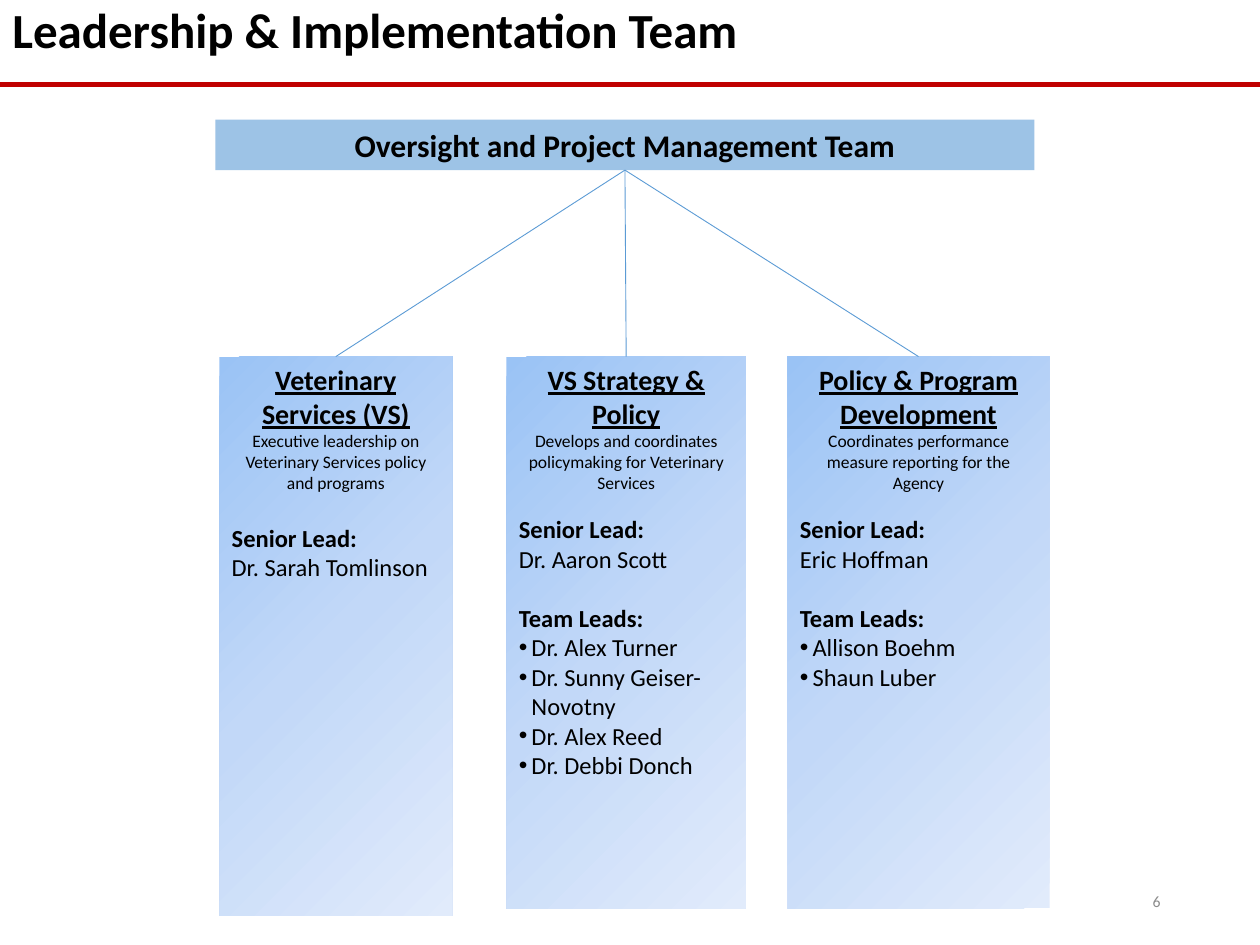
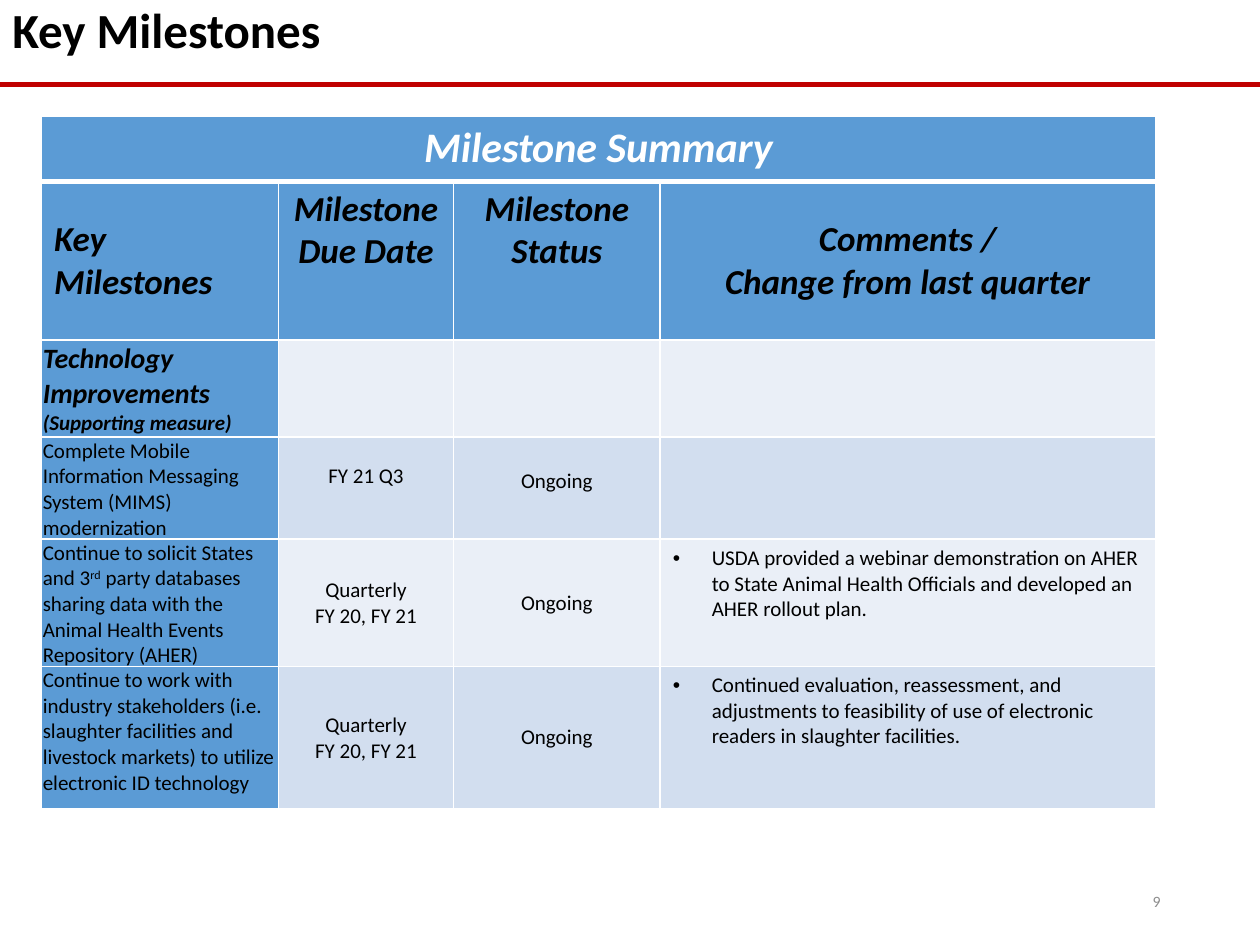
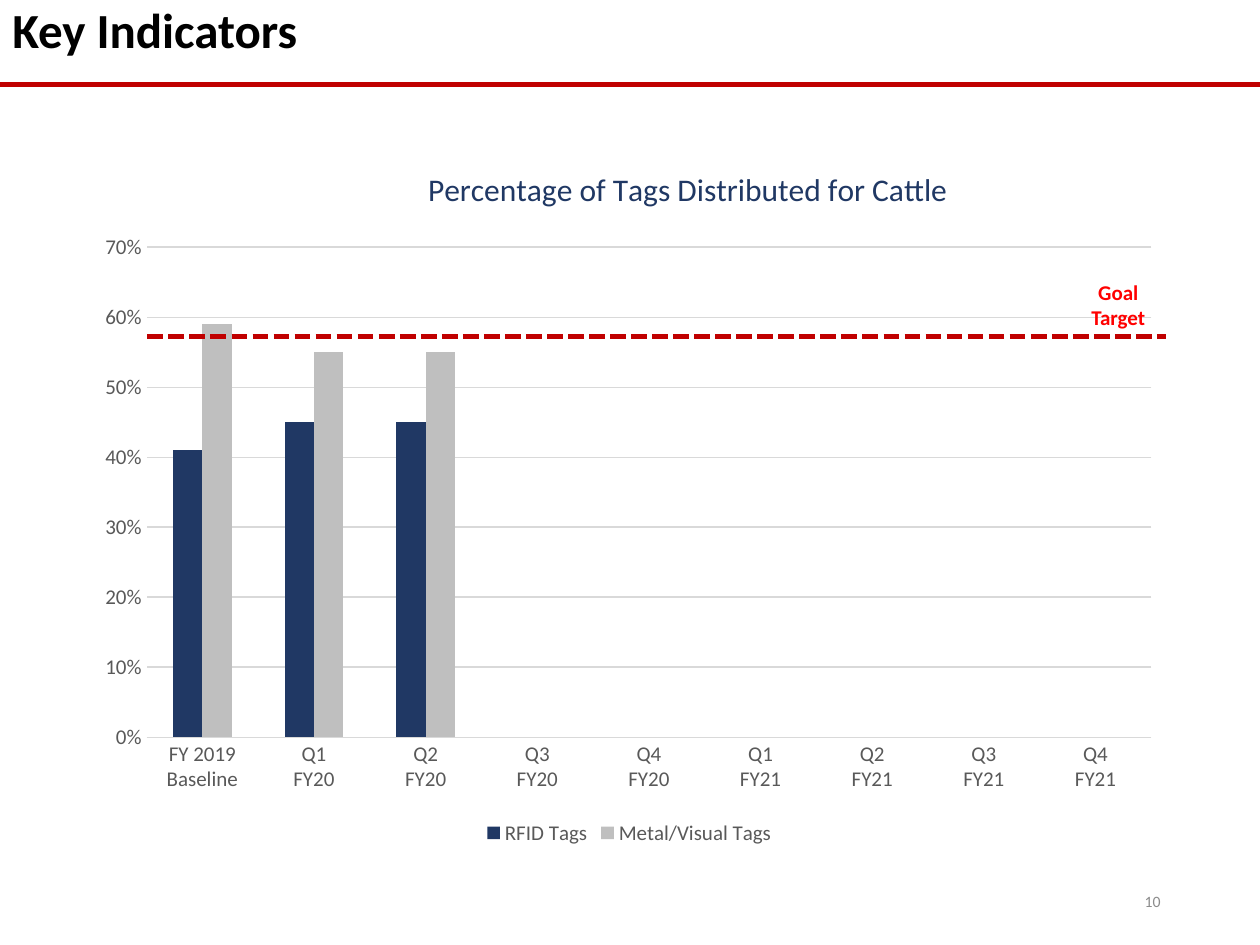
from dataclasses import dataclass
from itertools import product

from lxml.etree import SubElement
from pptx import Presentation
from pptx.chart.data import CategoryChartData
from pptx.dml.color import RGBColor
from pptx.enum.chart import XL_CHART_TYPE, XL_LEGEND_POSITION, XL_TICK_MARK
from pptx.enum.dml import MSO_LINE
from pptx.enum.shapes import MSO_CONNECTOR, MSO_SHAPE
from pptx.enum.text import MSO_ANCHOR, PP_ALIGN
from pptx.oxml import parse_xml
from pptx.oxml.ns import nsdecls, qn
from pptx.util import Inches, Pt

FACE = "Calibri"
BLACK = RGBColor(0x00, 0x00, 0x00)
WHITE = RGBColor(0xFF, 0xFF, 0xFF)
RED = RGBColor(0xC0, 0x00, 0x00)
BRIGHT = RGBColor(0xFF, 0x00, 0x00)
GREY = RGBColor(0x8C, 0x8C, 0x8C)
DARK = RGBColor(0x59, 0x59, 0x59)
RULE = RGBColor(0xD9, 0xD9, 0xD9)
SKY = RGBColor(0x9D, 0xC3, 0xE6)
BLUE = RGBColor(0x5B, 0x9B, 0xD5)
NAVY = RGBColor(0x20, 0x38, 0x64)
SILVER = RGBColor(0xBF, 0xBF, 0xBF)
PALE = RGBColor(0xEA, 0xEF, 0xF7)
MIST = RGBColor(0xD2, 0xDE, 0xEF)
FADE = ((0, "9AC3F5"), (50, "C2D8F8"), (100, "E1EBFB"))
LINEAR = '<a:lin ang="2700000" scaled="1"/>'
ROUND = '<a:path path="circle"><a:fillToRect r="100000" b="100000"/></a:path>'
LEFT, MID, RIGHT = PP_ALIGN.LEFT, PP_ALIGN.CENTER, PP_ALIGN.RIGHT
TOP, MIDDLE = MSO_ANCHOR.TOP, MSO_ANCHOR.MIDDLE


@dataclass
class Para:
    """One paragraph; parts of the text between ^ marks are raised."""
    text: str
    size: float = 12
    bold: bool = False
    italic: bool = False
    under: bool = False
    color: RGBColor = BLACK
    align: PP_ALIGN = LEFT
    before: float = 0
    bullet: float = 0
    spacing: float = 1


@dataclass
class Team:
    """One team box of the chart of leaders."""
    left: float
    width: float
    height: float
    name: str
    task: str
    gap: float
    lead: str
    staff: tuple = ()
    shade: str = LINEAR


@dataclass
class Cell:
    """Text and layout of one table cell."""
    paras: tuple = ()
    anchor: MSO_ANCHOR = TOP
    edges: tuple = (0.1, 0.05, 0.1, 0.05)


def style(font, color: RGBColor, **vals) -> None:
    """Set font values and colour."""
    for key, val in {"name": FACE, **vals}.items():
        setattr(font, key, val)
    font.color.rgb = color


def write(frame, paras) -> None:
    """Fill a text frame with paragraphs."""
    for num, item in enumerate(paras):
        para = frame.add_paragraph() if num else frame.paragraphs[0]
        form = {"alignment": item.align, "space_before": Pt(item.before),
                "line_spacing": item.spacing}
        for key, val in form.items():
            setattr(para, key, val)
        if item.bullet:
            props = para._p.get_or_add_pPr()
            props.set("marL", str(Inches(item.bullet)))
            props.set("indent", str(-Inches(item.bullet)))
            SubElement(props, qn("a:buFont")).set("typeface", "Arial")
            SubElement(props, qn("a:buChar")).set("char", "•")
        for spot, part in enumerate(item.text.split("^")):
            run = para.add_run()
            run.text = part
            style(run.font, item.color, size=Pt(item.size), bold=item.bold,
                  italic=item.italic, underline=item.under)
            if spot % 2:
                run._r.get_or_add_rPr().set("baseline", "30000")


def place(box) -> tuple:
    """Turn inches into lengths."""
    return tuple(Inches(val) for val in box)


def label(slide, box, para: Para, anchor=TOP) -> None:
    """Add a wrapped text box."""
    frame = slide.shapes.add_textbox(*place(box)).text_frame
    frame.word_wrap = True
    frame.vertical_anchor = anchor
    write(frame, [para])


def block(slide, box, paras):
    """Add a plain box with text from its top and return it."""
    shape = slide.shapes.add_shape(MSO_SHAPE.RECTANGLE, *place(box))
    shape.shadow.inherit = False
    shape.line.fill.background()
    shape.fill.solid()
    shape.fill.fore_color.rgb = SKY
    shape.text_frame.word_wrap = True
    shape.text_frame.vertical_anchor = TOP
    write(shape.text_frame, paras)
    return shape


def shade(shape, kind: str) -> None:
    """Swap the plain fill for the blue fade."""
    stops = "".join(f'<a:gs pos="{pos * 1000}"><a:srgbClr val="{tint}"/></a:gs>'
                    for pos, tint in FADE)
    fade = parse_xml(f'<a:gradFill {nsdecls("a")} rotWithShape="1">'
                     f"<a:gsLst>{stops}</a:gsLst>{kind}</a:gradFill>")
    props = shape._element.spPr
    props.replace(props.find(qn("a:solidFill")), fade)


def stroke(slide, ends, color: RGBColor, width: float, dash=None) -> None:
    """Draw a straight line."""
    link = slide.shapes.add_connector(MSO_CONNECTOR.STRAIGHT, *place(ends))
    link.line.color.rgb = color
    link.line.width = Pt(width)
    if dash:
        link.line.dash_style = dash
    SubElement(link._element.spPr, qn("a:effectLst"))


def start(deck, title: str, page: int):
    """Add a slide with title, red rule and page number."""
    slide = deck.slides.add_slide(deck.slide_layouts[6])
    label(slide, (0, 0, 10, 0.92),
          Para(title, 28, bold=True, before=7.5, spacing=0.9))
    label(slide, (7.06, 6.95, 2.25, 0.4),
          Para(str(page), 9, color=GREY, align=RIGHT), MIDDLE)
    stroke(slide, (0, 0.67, 10, 0.67), RED, 3)
    return slide


TEAMS = (
    Team(1.74, 1.85, 4.44, "Veterinary Services (VS)",
         "Executive leadership on Veterinary Services policy and programs",
         17, "Dr. Sarah Tomlinson"),
    Team(4.02, 1.9, 4.38, "VS Strategy & Policy",
         "Develops and coordinates policymaking for Veterinary Services",
         12.2, "Dr. Aaron Scott",
         ("Dr. Alex Turner", "Dr. Sunny Geiser-Novotny", "Dr. Alex Reed",
          "Dr. Debbi Donch")),
    Team(6.25, 2.08, 4.38, "Policy & Program Development",
         "Coordinates performance measure reporting for the Agency",
         12.2, "Eric Hoffman", ("Allison Boehm", "Shaun Luber"), ROUND),
)


def leaders(deck) -> None:
    """Build the slide of teams."""
    slide = start(deck, "Leadership & Implementation Team", 6)
    block(slide, (1.71, 0.95, 6.5, 0.4),
          [Para("Oversight and Project Management Team", 18, bold=True, align=MID)])
    top = 2.83
    for team in TEAMS:
        paras = [Para(team.name, 16, bold=True, under=True, align=MID),
                 Para(team.task, 10, align=MID),
                 Para("Senior Lead:", 14, bold=True, before=team.gap),
                 Para(team.lead, 14)]
        if team.staff:
            paras.append(Para("Team Leads:", 14, bold=True, before=17))
            paras += [Para(name, 14, bullet=0.1) for name in team.staff]
        shape = block(slide, (team.left, top, team.width, team.height), paras)
        shade(shape, team.shade)
    for team in TEAMS:
        stroke(slide, (4.96, 1.35, team.left + team.width / 2, top), BLUE, 0.5)


TIGHT = (0.01, 0.01, 0.01, 0)


def head(*lines: str, size=20, color=BLACK, align=MID, **form) -> Cell:
    """Make a heading cell."""
    return Cell(tuple(Para(line, size, True, True, color=color, align=align)
                      for line in lines), **form)


def task(text: str) -> Cell:
    """Make a cell that names a milestone."""
    return Cell((Para(text),), edges=TIGHT)


def fact(*lines: str, anchor=MIDDLE, **form) -> Cell:
    """Make a centred cell."""
    return Cell(tuple(Para(line, align=MID) for line in lines), anchor, **form)


def note(text: str) -> Cell:
    """Make a cell with one bullet."""
    return Cell((Para(text, bullet=0.31),))


TERM = fact("Quarterly", "FY 20, FY 21", edges=TIGHT)
GROUP = Cell((Para("Technology Improvements", 16, True, True),
              Para("(Supporting measure)", 12, True, True)), MIDDLE, TIGHT)
GRID = (
    (head("Milestone Summary", size=24, color=WHITE), Cell(), Cell(), Cell()),
    (head("Key Milestones", align=LEFT, anchor=MIDDLE),
     head("Milestone", "Due Date"), head("Milestone", "Status"),
     head("Comments /", "Change from last quarter", anchor=MIDDLE)),
    (GROUP, Cell(), Cell(), Cell()),
    (task("Complete Mobile Information Messaging System (MIMS) modernization"),
     fact("FY 21 Q3", edges=(0.01, 0.01, 0.01, 0.2)),
     fact("Ongoing", anchor=TOP, edges=(0.1, 0.25, 0.1, 0.05)), Cell()),
    (task("Continue to solicit States and 3^rd^ party databases sharing data "
          "with the Animal Health Events Repository (AHER)"),
     TERM, fact("Ongoing"),
     note("USDA provided a webinar demonstration on AHER to State Animal Health "
          "Officials and developed\u00a0an AHER\u00a0rollout plan.")),
    (task("Continue to work with industry stakeholders (i.e. slaughter facilities "
          "and livestock markets) to utilize electronic ID technology"),
     TERM, fact("Ongoing"),
     note("Continued evaluation, reassessment, and adjustments to feasibility of "
          "use of electronic readers in slaughter facilities.")),
)


def border(cell, base: float) -> None:
    """Give a cell white edges, with its own width below."""
    props = cell._tc.get_or_add_tcPr()
    widths = {"L": 1, "R": 1, "T": 1, "B": base}
    for num, (side, width) in enumerate(widths.items()):
        props.insert(num, parse_xml(
            f'<a:ln{side} {nsdecls("a")} w="{Pt(width)}"><a:solidFill>'
            f'<a:srgbClr val="{WHITE}"/></a:solidFill></a:ln{side}>'))


def miles(deck) -> None:
    """Build the slide of milestones."""
    slide = start(deck, "Key Milestones", 9)
    wides = (1.88, 1.39, 1.64, 3.93)
    highs = (0.52, 1.26, 0.77, 0.59, 0.86, 1.13)
    table = slide.shapes.add_table(len(highs), len(wides),
                                   *place((0.33, 0.92, 8.83, 5.13))).table
    for col, wide in zip(table.columns, wides):
        col.width = Inches(wide)
    for row, high in zip(table.rows, highs):
        row.height = Inches(high)
    table.cell(0, 0).merge(table.cell(0, 3))
    for row, col in product(range(len(highs)), range(len(wides))):
        cell, data = table.cell(row, col), GRID[row][col]
        cell.fill.solid()
        band = MIST if row % 2 else PALE
        cell.fill.fore_color.rgb = BLUE if row < 2 or col == 0 else band
        border(cell, 1 if row else 3)
        cell.vertical_anchor = data.anchor
        for side, edge in zip(("left", "top", "right", "bottom"), data.edges):
            setattr(cell, f"margin_{side}", Inches(edge))
        write(cell.text_frame, data.paras)


def layout(owner, inner: bool = False, **spots: float) -> None:
    """Fix the place of a chart part as shares of the chart."""
    for old in owner.findall(qn("c:layout")):
        owner.remove(old)
    target = '<c:layoutTarget val="inner"/>' if inner else ""
    modes = "".join(f'<c:{key}Mode val="edge"/>' for key in "xy")
    vals = "".join(f'<c:{key} val="{val}"/>' for key, val in spots.items())
    node = parse_xml(f'<c:layout {nsdecls("c")}><c:manualLayout>{target}{modes}'
                     f"{vals}</c:manualLayout></c:layout>")
    text = owner.find(qn("c:tx"))
    owner.insert(0 if text is None else 1, node)


def tags(deck) -> None:
    """Build the slide with the chart of tags."""
    slide = start(deck, "Key Indicators", 10)
    data = CategoryChartData(number_format="0%")
    data.categories = ["FY 2019 Baseline"] + [
        f"Q{part}\nFY{year}" for year, part in product((20, 21), range(1, 5))]
    blank = (None,) * 6
    data.add_series("RFID Tags", (0.41, 0.45, 0.45) + blank)
    data.add_series("Metal/Visual Tags", (0.59, 0.55, 0.55) + blank)
    chart = slide.shapes.add_chart(XL_CHART_TYPE.COLUMN_CLUSTERED,
                                   *place((0.67, 1.17, 8.65, 5.58)), data).chart
    style(chart.font, BLACK, size=Pt(10))
    chart.has_title = True
    frame = chart.chart_title.text_frame
    frame.text = "Percentage of Tags Distributed for Cattle"
    style(frame.paragraphs[0].runs[0].font, NAVY, size=Pt(18), bold=False)
    layout(chart.chart_title._element, x=0.31, y=0.02)
    layout(chart._chartSpace.chart.plotArea, True, x=0.057, y=0.142, w=0.922, h=0.697)
    chart.has_legend = True
    chart.legend.position = XL_LEGEND_POSITION.BOTTOM
    chart.legend.include_in_layout = False
    style(chart.legend.font, DARK, size=Pt(12))
    plot = chart.plots[0]
    for key, val in {"gap_width": 182, "overlap": 0, "vary_by_categories": False}.items():
        setattr(plot, key, val)
    for series, tint in zip(plot.series, (NAVY, SILVER)):
        series.format.fill.solid()
        series.format.fill.fore_color.rgb = tint
    cats, vals = chart.category_axis, chart.value_axis
    for axis in (cats, vals):
        axis.major_tick_mark = axis.minor_tick_mark = XL_TICK_MARK.NONE
        style(axis.tick_labels.font, DARK, size=Pt(12))
    for key, val in {"minimum_scale": 0, "maximum_scale": 0.7, "major_unit": 0.1}.items():
        setattr(vals, key, val)
    vals.tick_labels.number_format = "0%"
    vals.tick_labels.number_format_is_linked = False
    vals.format.line.fill.background()
    for line in (cats.format.line, vals.major_gridlines.format.line):
        line.color.rgb = RULE
        line.width = Pt(0.75)
    label(slide, (8.5, 2.17, 0.75, 0.5),
          Para("Goal Target", bold=True, color=BRIGHT, align=MID))
    stroke(slide, (1.17, 2.67, 9.25, 2.67), RED, 3, MSO_LINE.SQUARE_DOT)


def main() -> None:
    """Build and save the deck."""
    deck = Presentation()
    deck.slide_width, deck.slide_height = Inches(10), Inches(7.5)
    for build in (leaders, miles, tags):
        build(deck)
    deck.save("out.pptx")


main()
